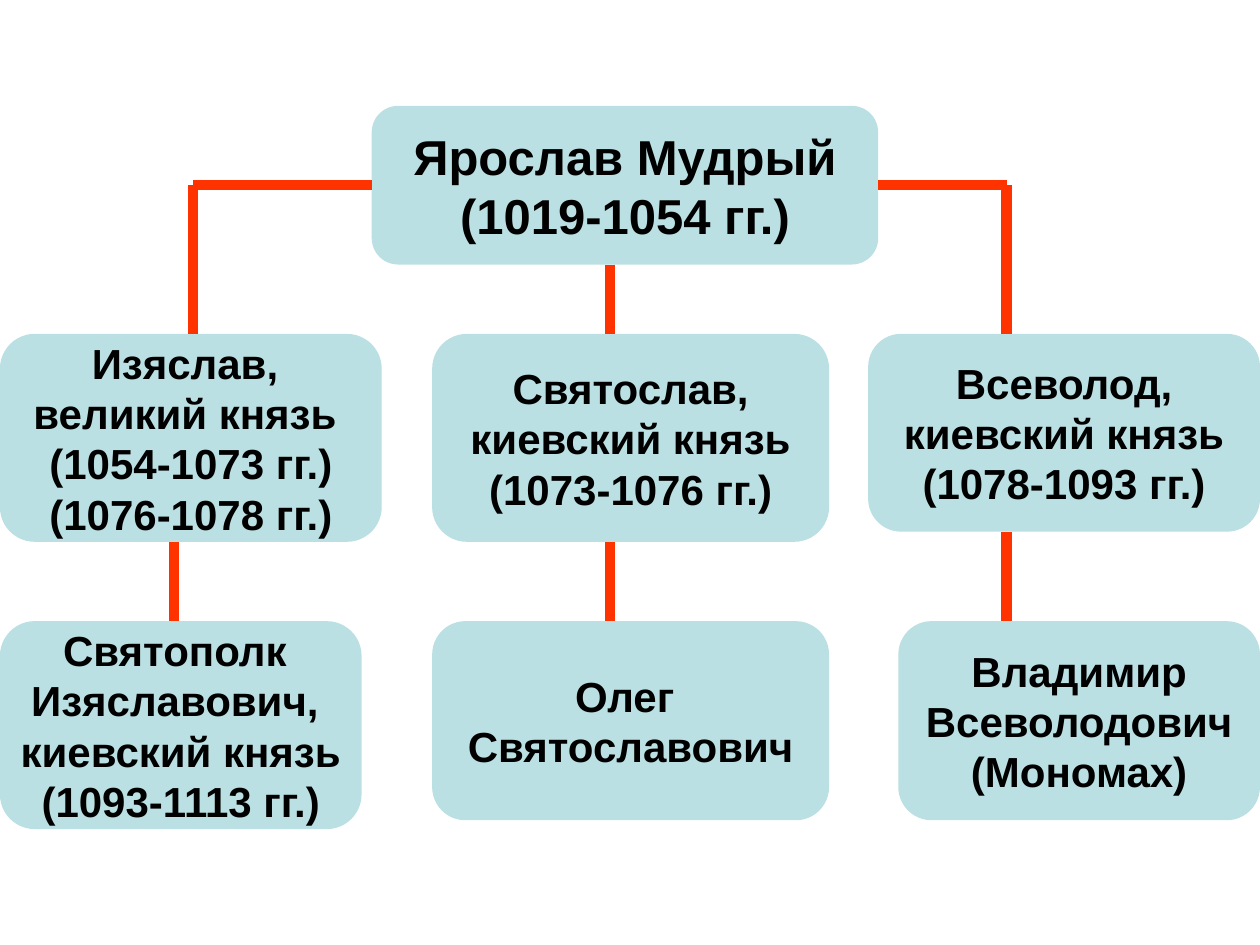
from pptx import Presentation
from pptx.dml.color import RGBColor
from pptx.enum.shapes import MSO_CONNECTOR as Connector, MSO_SHAPE as Shape
from pptx.enum.text import MSO_ANCHOR as Anchor, PP_ALIGN as Align
from pptx.oxml.ns import qn
from pptx.util import Inches, Pt
from lxml import etree

BOX_FILL, LINE_RED, TEXT_BLACK = "BBE0E3", "FF3300", "000000"
LEFT_SIDE, RIGHT_SIDE = 1, 3

# Rows of the family tree and the branches running down it
RULER_MIDDLE, RULER_BOTTOM = 1.47, 2.1
SONS_TOP, GRANDSONS_TOP = 2.65, 4.93
LEFT_BRANCH, MIDDLE_BRANCH, RIGHT_BRANCH = 1.53, 4.84, 7.99

# Left, top, width, height, lines of text
DESCENDANTS = [
    (6.89, SONS_TOP, 3.11, 1.57, ["Всеволод,", "киевский князь", "(1078-1093 гг.)"]),
    (3.43, SONS_TOP, 3.15, 1.65, ["Святослав,", "киевский князь", "(1073-1076 гг.)"]),
    (0, SONS_TOP, 3.03, 1.65,
     ["Изяслав, ", "великий князь ", "(1054-1073 гг.)", "(1076-1078 гг.)"]),
    (7.13, GRANDSONS_TOP, 2.87, 1.58, ["Владимир", "Всеволодович", "(Мономах)"]),
    (3.43, GRANDSONS_TOP, 3.15, 1.58, ["Олег ", "Святославович"]),
    (0, GRANDSONS_TOP, 2.87, 1.65,
     ["Святополк ", "Изяславович, ", "киевский князь", "(1093-1113 гг.)"]),
]

# Vertical lines: x, top, bottom
DROPS = [
    (LEFT_BRANCH, RULER_MIDDLE, SONS_TOP),
    (1.38, 4.3, GRANDSONS_TOP),
    (MIDDLE_BRANCH, RULER_BOTTOM, SONS_TOP),
    (MIDDLE_BRANCH, 4.3, GRANDSONS_TOP),
    (RIGHT_BRANCH, 4.22, GRANDSONS_TOP),
    (RIGHT_BRANCH, RULER_MIDDLE, SONS_TOP),
]


def color(hex_code):
    return RGBColor.from_string(hex_code)


def add_person(page, left, top, width, height, lines, size=24):
    box = page.shapes.add_shape(Shape.ROUNDED_RECTANGLE, Inches(left), Inches(top),
                                Inches(width), Inches(height))
    box.shadow.inherit = False
    box.fill.solid()
    box.fill.fore_color.rgb = color(BOX_FILL)
    box.line.fill.background()
    frame = box.text_frame
    frame.word_wrap = False
    frame.vertical_anchor = Anchor.MIDDLE
    for index, line in enumerate(lines):
        para = frame.add_paragraph() if index else frame.paragraphs[0]
        para.alignment = Align.CENTER
        span = para.add_run()
        span.text = line
        span.font.name = "Arial"
        span.font.size = Pt(size)
        span.font.bold = True
        span.font.color.rgb = color(TEXT_BLACK)
    return box


def add_line(page, x1, y1, x2, y2):
    line = page.shapes.add_connector(Connector.STRAIGHT, Inches(x1), Inches(y1),
                                     Inches(x2), Inches(y2))
    line.line.color.rgb = color(LINE_RED)
    line.line.width = Pt(6)
    etree.SubElement(line.element.spPr, qn("a:effectLst"))
    return line


def main():
    deck = Presentation()
    deck.slide_width, deck.slide_height = Inches(10), Inches(7.5)
    page = deck.slides.add_slide(deck.slide_layouts[6])

    # People
    ruler = add_person(page, 2.95, 0.84, 4.02, 1.26,
                       ["Ярослав Мудрый", "(1019-1054 гг.)"], size=28)
    for person in DESCENDANTS:
        add_person(page, *person)

    # Arms from the sides of the ruler's box
    for start, end, side in [(2.95, LEFT_BRANCH, LEFT_SIDE),
                             (6.97, RIGHT_BRANCH, RIGHT_SIDE)]:
        arm = add_line(page, start, RULER_MIDDLE, end, RULER_MIDDLE)
        arm.begin_connect(ruler, side)

    # Lines down to the next generation
    for x, top, bottom in DROPS:
        add_line(page, x, top, x, bottom)

    deck.save("out.pptx")


if __name__ == "__main__":
    main()
